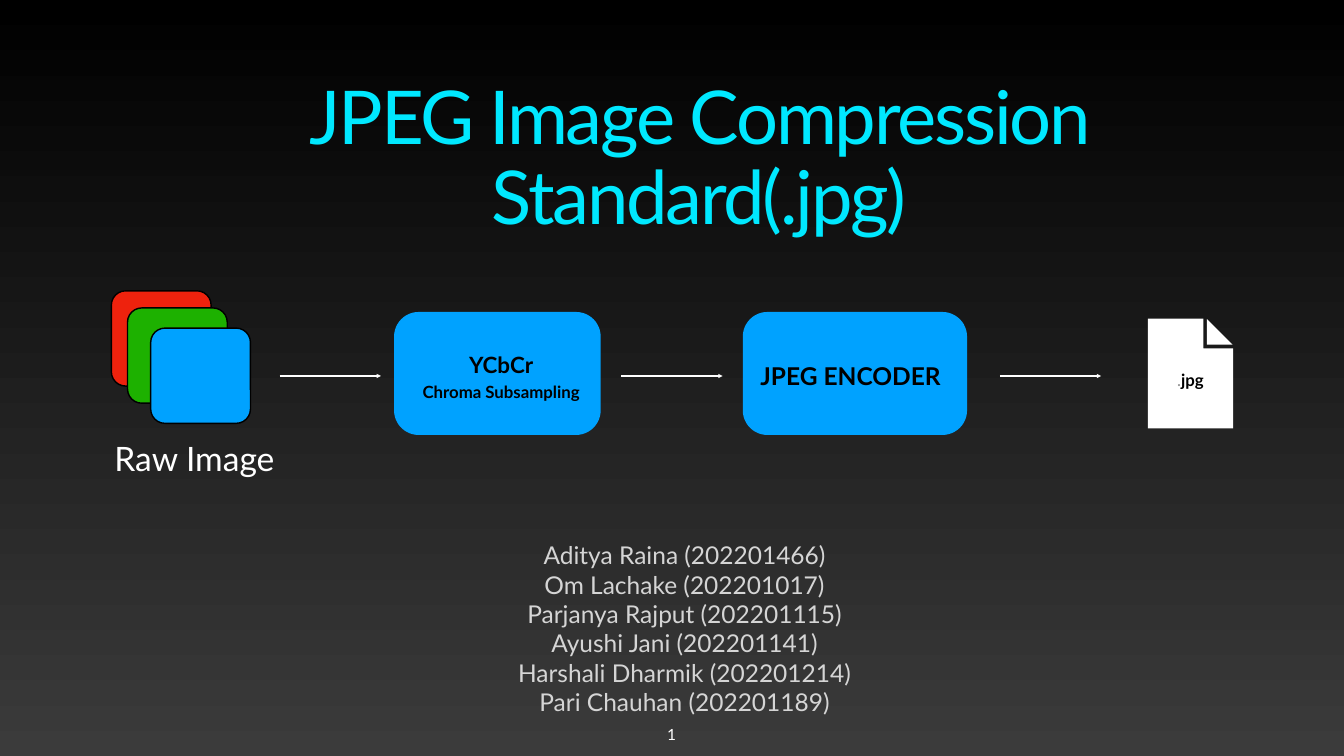
from dataclasses import dataclass

from lxml.etree import SubElement
from pptx import Presentation
from pptx.dml.color import RGBColor
from pptx.enum.shapes import MSO_CONNECTOR, MSO_SHAPE
from pptx.enum.text import MSO_ANCHOR, MSO_AUTO_SIZE, PP_ALIGN
from pptx.oxml.ns import qn
from pptx.util import Inches, Pt


@dataclass(frozen=True)
class Theme:
    font: str = "Lato"
    background_top: str = "000000"
    background_bottom: str = "3B3B3B"
    title: str = "00E8FF"
    author: str = "D5D5D5"
    red: str = "EE220D"
    green: str = "1DB100"
    blue: str = "00A2FF"
    black: str = "000000"
    white: str = "FFFFFF"
    dot: str = "929292"
    title_size: float = 106
    caption_size: float = 48
    body_size: float = 35
    step_size: float = 32
    detail_size: float = 24
    number_size: float = 22
    line_width: float = 2
    inset: float = 0.06


class SlideBuilder:
    def __init__(self, slide, theme):
        self.slide = slide
        self.theme = theme

    def background(self):
        fill = self.slide.background.fill
        fill.gradient()
        fill.gradient_angle = 270
        colors = (self.theme.background_top, self.theme.background_bottom)
        for stop, color in zip(fill.gradient_stops, colors):
            stop.color.rgb = RGBColor.from_string(color)

    def style_font(self, font, size, color, bold=False):
        font.name = self.theme.font
        font.size = Pt(size)
        font.bold = bold
        font.color.rgb = RGBColor.from_string(color)

    def frame(self, shape, anchor, wrap):
        frame = shape.text_frame
        frame.auto_size = MSO_AUTO_SIZE.NONE
        frame.word_wrap = wrap
        frame.vertical_anchor = anchor
        inset = Inches(self.theme.inset)
        frame.margin_left = frame.margin_right = inset
        frame.margin_top = frame.margin_bottom = inset
        return frame

    def title(self, text, left, top, width, height):
        shape = self.slide.shapes.title
        shape.left, shape.top = Inches(left), Inches(top)
        shape.width, shape.height = Inches(width), Inches(height)
        frame = self.frame(shape, MSO_ANCHOR.BOTTOM, True)
        frame.text = text
        paragraph = frame.paragraphs[0]
        paragraph.alignment = PP_ALIGN.CENTER
        paragraph.line_spacing = 0.9
        run = paragraph.runs[0]
        self.style_font(run.font, self.theme.title_size, self.theme.title)
        run._r.get_or_add_rPr().set("spc", "-320")

    def text(self, lines, left, top, width, height, align=PP_ALIGN.CENTER,
             anchor=MSO_ANCHOR.MIDDLE, wrap=False, spacing=1.0, indent=0):
        box = self.slide.shapes.add_textbox(
            Inches(left), Inches(top), Inches(width), Inches(height))
        frame = self.frame(box, anchor, wrap)
        for index, runs in enumerate(lines):
            paragraph = frame.add_paragraph() if index else frame.paragraphs[0]
            paragraph.alignment = align
            paragraph.line_spacing = spacing
            if indent:
                paragraph._p.get_or_add_pPr().set("indent", str(Inches(indent)))
            for text, *style in runs:
                run = paragraph.add_run()
                run.text = text
                font = paragraph.font if len(runs) == 1 else run.font
                self.style_font(font, *style)

    def rounded_box(self, left, top, width, height, radius, color, outlined=False):
        shape = self.slide.shapes.add_shape(
            MSO_SHAPE.ROUNDED_RECTANGLE,
            Inches(left), Inches(top), Inches(width), Inches(height))
        shape.adjustments[0] = radius
        shape.shadow.inherit = False
        shape.fill.solid()
        shape.fill.fore_color.rgb = RGBColor.from_string(color)
        if outlined:
            shape.line.color.rgb = RGBColor.from_string(self.theme.black)
            shape.line.width = Pt(self.theme.line_width)
        else:
            shape.line.fill.background()

    def arrow(self, left, y, length):
        connector = self.slide.shapes.add_connector(
            MSO_CONNECTOR.STRAIGHT,
            Inches(left), Inches(y), Inches(left + length), Inches(y))
        connector.line.color.rgb = RGBColor.from_string(self.theme.white)
        connector.line.width = Pt(self.theme.line_width)
        SubElement(connector.line._get_or_add_ln(), qn("a:tailEnd"), type="triangle")
        SubElement(connector._element.spPr, qn("a:effectLst"))

    def outline(self, contours, color):
        builder = None
        for contour in contours:
            start, *points = [(Inches(x), Inches(y)) for x, y in contour]
            if builder is None:
                builder = self.slide.shapes.build_freeform(*start)
            else:
                builder.move_to(*start)
            builder.add_line_segments(points, close=True)
        shape = builder.convert_to_shape()
        shape.shadow.inherit = False
        shape.fill.solid()
        shape.fill.fore_color.rgb = RGBColor.from_string(color)
        shape.line.fill.background()


def main():
    theme = Theme()
    presentation = Presentation()
    presentation.slide_width = Inches(26.67)
    presentation.slide_height = Inches(15)
    slide = presentation.slides.add_slide(presentation.slide_layouts[5])
    builder = SlideBuilder(slide, theme)
    builder.background()
    builder.title("JPEG Image Compression Standard(.jpg)", 1.93, 0.6, 23.89, 4.24)

    authors = (
        "Aditya Raina (202201466)",
        "Om Lachake (202201017)",
        "Parjanya Rajput (202201115)",
        "Ayushi Jani (202201141)",
        "Harshali Dharmik (202201214)",
        "Pari Chauhan (202201189)",
    )
    builder.text([[(author, theme.body_size, theme.author)] for author in authors],
                 1.52, 10.66, 23.63, 4.24, anchor=MSO_ANCHOR.TOP, wrap=True, indent=0.5)

    channels = ((2.21, 5.77, theme.red), (2.53, 6.11, theme.green), (2.99, 6.51, theme.blue))
    for left, top, color in channels:
        builder.rounded_box(left, top, 1.98, 1.89, 0.15, color, outlined=True)
    builder.text([[("Raw Image", theme.caption_size, theme.white)]],
                 2.21, 8.59, 3.55, 0.99, align=PP_ALIGN.LEFT)

    for left, width in ((7.82, 4.1), (14.74, 4.45)):
        builder.rounded_box(left, 6.19, width, 2.44, 0.2, theme.blue)
    builder.text([[("YCbCr", theme.step_size, theme.black, True)],
                  [("Chroma Subsampling", theme.detail_size, theme.black, True)]],
                 8.12, 6.79, 3.65, 1.24, spacing=1.2)
    builder.text([[("JPEG ENCODER", theme.body_size, theme.black, True)]],
                 15.03, 7.08, 3.89, 0.76, align=PP_ALIGN.LEFT)

    for left in (5.55, 12.33, 19.84):
        builder.arrow(left, 7.46, 2.01)

    page = ((22.78, 6.32), (23.88, 6.32), (23.88, 6.91),
            (24.47, 6.91), (24.47, 8.5), (22.78, 8.5))
    folded_corner = ((23.95, 6.33), (23.95, 6.84), (24.46, 6.84))
    builder.outline((page, folded_corner), theme.white)
    builder.text([[(".", theme.detail_size, theme.dot),
                   ("jpg", theme.detail_size, theme.black, True)]],
                 23.25, 7.27, 0.75, 0.54)

    builder.text([[("1", theme.number_size, theme.white)]],
                 13.2, 14.31, 0.25, 0.51, anchor=MSO_ANCHOR.BOTTOM)
    presentation.save("out.pptx")


if __name__ == "__main__":
    main()
